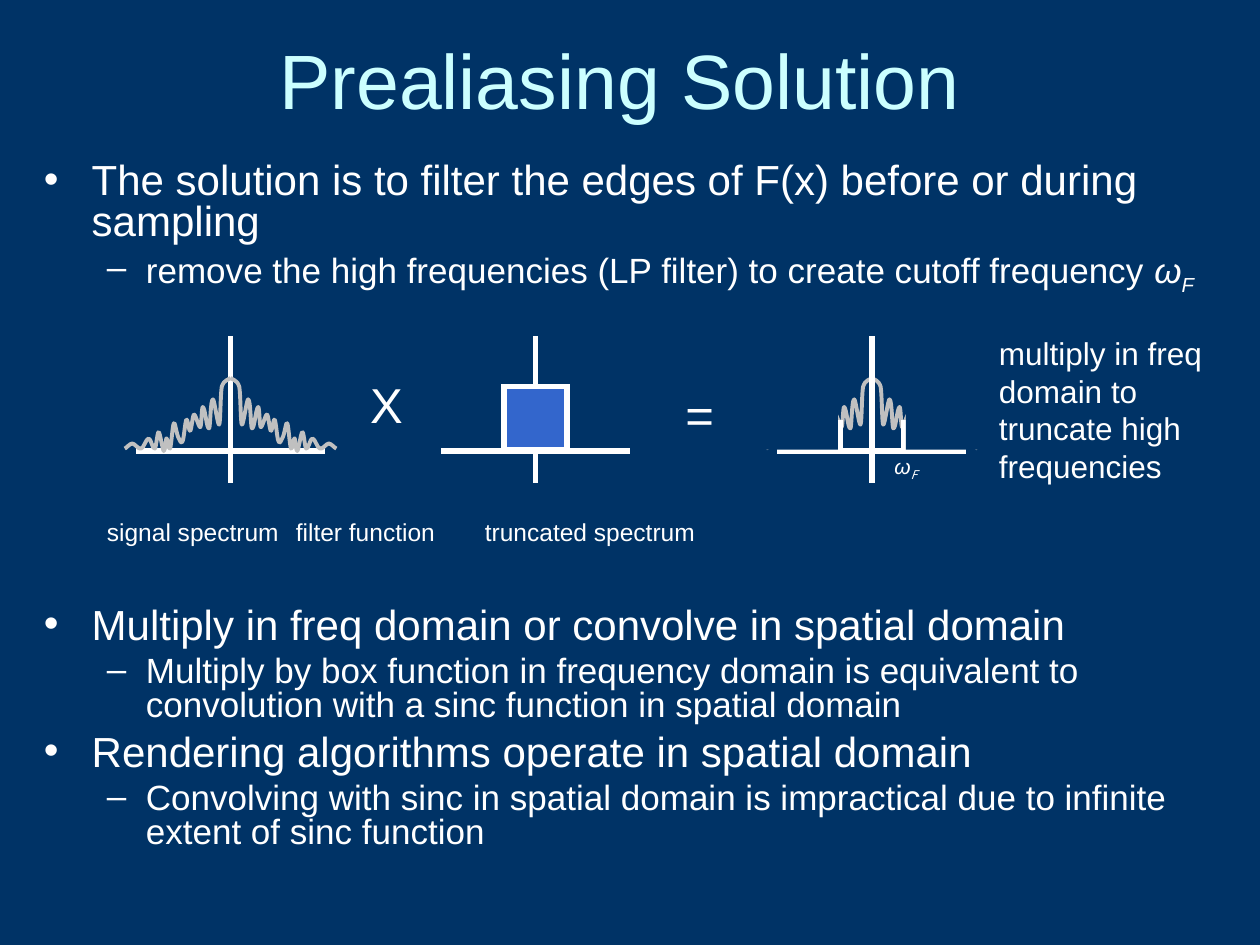
from dataclasses import dataclass

from lxml.etree import SubElement
from pptx import Presentation
from pptx.dml.color import RGBColor
from pptx.enum.shapes import MSO_CONNECTOR as Connector, MSO_SHAPE as Shape
from pptx.enum.text import MSO_ANCHOR as Anchor, PP_ALIGN as Align
from pptx.oxml.ns import qn
from pptx.util import Inches, Pt


@dataclass(frozen=True)
class Theme:
    font: str = "Arial"
    subscript_font: str = "Noto Sans CJK KR"
    background: str = "003366"
    title: str = "CCFFFF"
    text: str = "FFFFFF"
    wave: str = "C0C0C0"
    filter_fill: str = "3366CC"
    title_size: int = 44
    operator_size: int = 28
    side_size: int = 18
    label_size: int = 12
    axis_width: float = 3
    wave_width: float = 2.25


THEME = Theme()
WIDTH, HEIGHT = 10, 7.5

TITLE = "Prealiasing Solution"
SIDE_NOTE = "multiply in freq domain to truncate high frequencies"
OMEGA = [("ω", "italic"), ("F", "subscript")]

# Axis centre, caption centre, caption
PLOTS = [
    (1.83, 1.79, "signal spectrum"),
    (4.25, 4.26, "filter function"),
    (6.92, 6.89, "truncated spectrum"),
]
SIGNAL_X, FILTER_X, TRUNCATED_X = [plot[0] for plot in PLOTS]
CAPTIONS = "".join("\t" + caption for _, _, caption in PLOTS)

# Style: mark, left margin, hanging indent, size, space before
STYLES = {
    "point": ("•", 0.38, -0.38, 24, 6),
    "detail": ("–", 0.81, -0.31, 20, 5),
    "captions": (None, 0, 0, 14, 132.5),
    "point after plots": ("•", 0.38, -0.38, 24, 35),
}
BODY = [
    ("point", [("The solution is to filter the edges of F(x) before or during sampling",
                "plain")]),
    ("detail", [("remove the high frequencies (LP filter) to create cutoff frequency ",
                 "plain")] + OMEGA),
    ("captions", [(CAPTIONS, "plain")]),
    ("point after plots", [("Multiply in freq domain or convolve in spatial domain", "plain")]),
    ("detail", [("Multiply by box function in frequency domain is equivalent to "
                 "convolution with a sinc function in spatial domain", "plain")]),
    ("point", [("Rendering algorithms operate in spatial domain", "plain")]),
    ("detail", [("Convolving with sinc in spatial domain is impractical due to "
                 "infinite extent of sinc function", "plain")]),
]
BODY_LEFT, BODY_TOP, INSET = 0.25, 1.25, 0.1

OPERATORS = [("X", 2.84, 2.92, 0.46), ("=", 5.34, 3, 0.42)]
BASELINE, AXIS_TOP, AXIS_BOTTOM, AXIS_HALF = 3.58, 2.67, 3.83, 0.75
CUTOFF, MASK_SIZE, MASK_GAP = 0.25, 0.67, 0.27

# Bezier control points of half a spectrum, in hundredths of an inch:
# distance from the axis, and height above the baseline
WAVE_DISTANCES = [
    84, 83, 80, 78, 76, 73, 71, 69, 67, 65, 63, 62, 60, 59, 58, 57, 56, 54, 53, 52, 51, 51,
    50, 49, 48, 47, 46, 45, 44, 43, 41, 40, 39, 38, 37, 36, 35, 34, 33, 32, 31, 30, 29,
    28, 25, 24, 23, 23, 22, 20, 19, 17, 16, 16, 14, 13, 10, 9, 8, 8, 7, 5, 2, 0]
WAVE_HEIGHTS = [
    2, 2, 6, 6, 6, 1, 2, 2, 10, 10, 10, 1, 2, 3, 16, 15, 15, 1, 0, 0, 10, 10,
    11, 0, 2, 4, 21, 22, 24, 13, 10, 8, 5, 8, 10, 24, 25, 26, 15, 16, 17, 29, 29,
    30, 18, 19, 20, 35, 35, 34, 17, 18, 19, 41, 41, 42, 19, 21, 22, 45, 51, 57, 56, 58]

deck = Presentation()
deck.slide_width, deck.slide_height = Inches(WIDTH), Inches(HEIGHT)
page = deck.slides.add_slide(deck.slide_layouts[6])
page.background.fill.solid()
page.background.fill.fore_color.rgb = RGBColor.from_string(THEME.background)


def set_font(font, size, color=THEME.text):
    font.name, font.size = THEME.font, Pt(size)
    font.color.rgb = RGBColor.from_string(color)


def add_spans(para, spans):
    for text, style in spans:
        span = para.add_run()
        span.text = text
        if style != "plain":
            span.font.italic = True
        if style == "subscript":
            span.font._element.set("baseline", "-25000")


def add_frame(left, top, width, height, anchor=Anchor.TOP, wrap=True):
    frame = page.shapes.add_textbox(*map(Inches, (left, top, width, height))).text_frame
    frame.word_wrap, frame.vertical_anchor = wrap, anchor
    return frame


def add_text(text, area, size, color=THEME.text, align=Align.LEFT, **frame_options):
    para = add_frame(*area, **frame_options).paragraphs[0]
    para.text, para.alignment = text, align
    set_font(para.font, size, color)


def add_mark_or_tabs(properties, mark):
    """Give a paragraph its bullet, or centred tabs under the plots."""
    if mark:
        bullet_color = SubElement(properties, qn("a:buClr"))
        SubElement(bullet_color, qn("a:srgbClr"), val=THEME.text)
        SubElement(properties, qn("a:buFont"), typeface=THEME.font)
        SubElement(properties, qn("a:buChar"), char=mark)
    else:
        tabs = SubElement(properties, qn("a:tabLst"))
        for _, center, _ in PLOTS:
            position = Inches(center - BODY_LEFT - INSET)
            SubElement(tabs, qn("a:tab"), pos=str(position), algn="ctr")


def add_body():
    frame = add_frame(BODY_LEFT, BODY_TOP, WIDTH - 2 * BODY_LEFT, 5.92)
    for number, (style, spans) in enumerate(BODY):
        para = frame.add_paragraph() if number else frame.paragraphs[0]
        mark, margin, indent, size, space = STYLES[style]
        properties = para._p.get_or_add_pPr()
        properties.set("marL", str(Inches(margin)))
        properties.set("indent", str(Inches(indent)))
        add_mark_or_tabs(properties, mark)
        para.line_spacing = 0.8
        if number:
            para.space_before = Pt(space)
        set_font(para.font, size)
        add_spans(para, spans)


def add_line(x1, y1, x2, y2):
    line = page.shapes.add_connector(Connector.STRAIGHT, *map(Inches, (x1, y1, x2, y2)))
    line.line.color.rgb = RGBColor.from_string(THEME.text)
    line.line.width = Pt(THEME.axis_width)
    SubElement(line._element.spPr, qn("a:effectLst"))


def add_square(left, top, size, fill, outlined):
    square = page.shapes.add_shape(Shape.RECTANGLE, *map(Inches, (left, top, size, size)))
    square.shadow.inherit = False
    square.fill.solid()
    square.fill.fore_color.rgb = RGBColor.from_string(fill)
    if outlined:
        square.line.color.rgb = RGBColor.from_string(THEME.text)
        square.line.width = Pt(THEME.axis_width)
        SubElement(square._element.spPr.find(qn("a:ln")), qn("a:miter"), lim="800000")
    else:
        square.line.fill.background()


def bend(wave):
    """Turn each three straight segments into one cubic curve."""
    outline = next(wave._element.iter(qn("a:path")))
    segments = outline.findall(qn("a:lnTo"))
    for first in range(0, len(segments), 3):
        curve = SubElement(outline, qn("a:cubicBezTo"))
        for segment in segments[first:first + 3]:
            curve.append(segment[0])
            outline.remove(segment)


def add_spectrum(center):
    """Draw both mirrored halves of the wave around an axis."""
    for side in (-1, 1):
        start, *points = [
            (Inches(center + side * distance / 100), Inches(BASELINE - height / 100))
            for distance, height in zip(WAVE_DISTANCES, WAVE_HEIGHTS)]
        builder = page.shapes.build_freeform(*start)
        builder.add_line_segments(points, close=False)
        wave = builder.convert_to_shape()
        bend(wave)
        wave.shadow.inherit = False
        wave.fill.background()
        wave.line.color.rgb = RGBColor.from_string(THEME.wave)
        wave.line.width = Pt(THEME.wave_width)


add_spectrum(TRUNCATED_X)
add_text(TITLE, (0.42, 0, 9, 1.25), THEME.title_size, THEME.title, Align.CENTER,
         anchor=Anchor.MIDDLE)
add_body()

for center, _, _ in PLOTS:
    add_line(center - AXIS_HALF, BASELINE, center + AXIS_HALF, BASELINE)
    add_line(center, AXIS_BOTTOM, center, AXIS_TOP)
add_square(FILTER_X - CUTOFF, 3.07, 2 * CUTOFF, THEME.filter_fill, outlined=True)
for edge in (TRUNCATED_X + CUTOFF, TRUNCATED_X - CUTOFF):
    add_line(edge, BASELINE - CUTOFF, edge, BASELINE)
for symbol, left, top, width in OPERATORS:
    add_text(symbol, (left, top, width, 0.57), THEME.operator_size, wrap=False)
add_text(SIDE_NOTE, (7.83, 2.6, 1.92, 1.6), THEME.side_size)

add_spectrum(SIGNAL_X)
for left in (TRUNCATED_X + MASK_GAP, TRUNCATED_X - MASK_GAP - MASK_SIZE):
    add_square(left, 2.9, MASK_SIZE, THEME.background, outlined=False)

cutoff_label = add_frame(7, 3.55, 0.5, 0.33).paragraphs[0]
cutoff_label.alignment = Align.JUSTIFY
set_font(cutoff_label.font, THEME.label_size)
add_spans(cutoff_label, OMEGA)
cutoff_label.runs[-1].font.name = THEME.subscript_font

deck.save("out.pptx")
